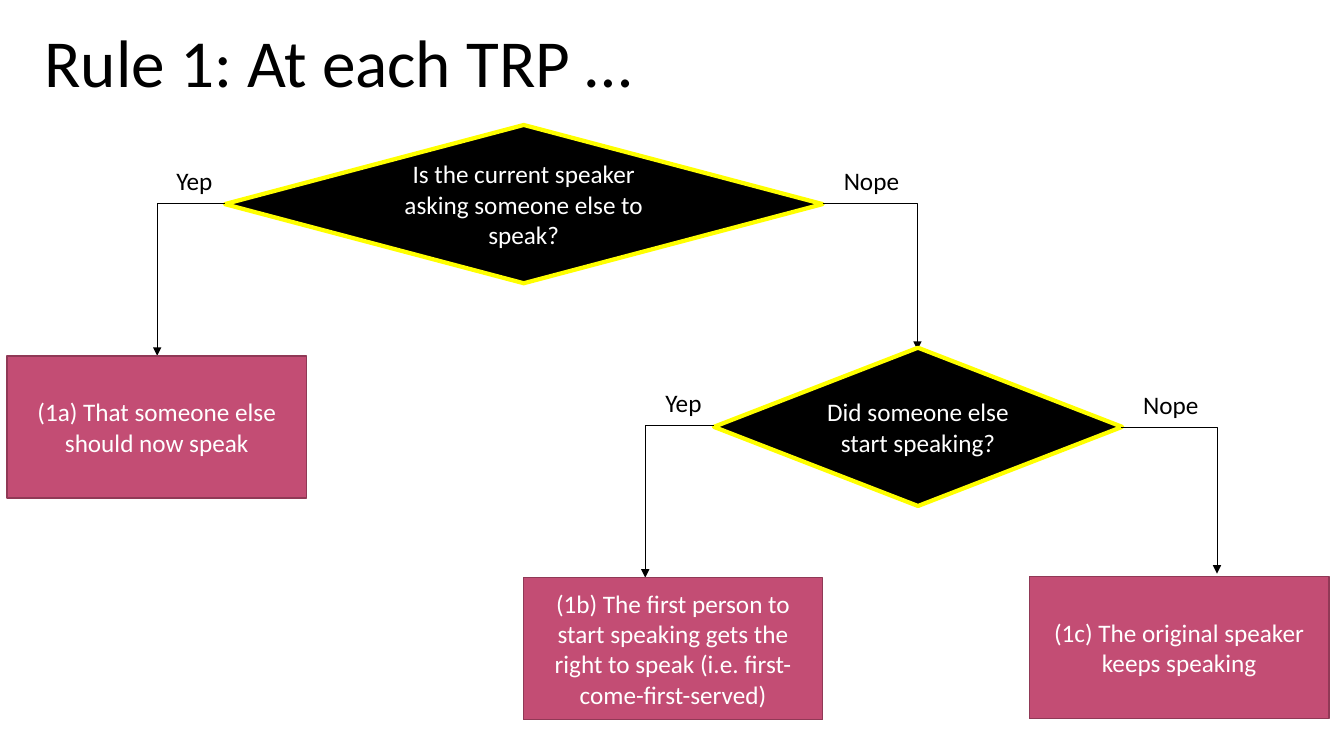
from lxml.etree import SubElement
from pptx import Presentation
from pptx.dml.color import RGBColor
from pptx.enum.shapes import MSO_CONNECTOR as Link, MSO_SHAPE as Shape
from pptx.enum.text import MSO_ANCHOR as Anchor, PP_ALIGN as Align
from pptx.oxml.ns import qn
from pptx.util import Inches, Pt

TITLE = "Rule 1: At each TRP …"
# text, (left, top, width, height)
CHOICES = [
    ("Is the current speaker asking someone else to speak?", (2.23, 1.24, 5.93, 1.57)),
    ("Did someone else start speaking?", (7.08, 3.45, 4.05, 1.57)),
]
# text, (left, top)
RESULTS = [
    ("(1a) That someone else should now speak", (0.07, 3.53)),
    ("(1b) The first person to start speaking gets the right to speak "
     "(i.e. first-come-first-served)", (5.19, 5.73)),
    ("(1c) The original speaker keeps speaking", (10.21, 5.72)),
]
# per choice: label, label place, arrow start, arrow end
BRANCHES = [
    [("Nope", (8.27, 1.59), (8.16, 2.02), (9.1, 3.47)),
     ("Yep", (1.65, 1.59), (2.23, 2.02), (1.56, 3.53))],
    [("Nope", (11.24, 3.81), (11.12, 4.24), (12.07, 5.69)),
     ("Yep", (6.5, 3.79), (7.08, 4.22), (6.4, 5.73))],
]
RESULT_SIZE = (2.97, 1.41)
LABEL_SIZE = (0.92, 0.4)
COLORS = {"ink": "000000", "paper": "FFFFFF", "edge": "FFFF00",
          "rose": "C34D74", "plum": "903956"}
FONT = "Calibri"


def color(name):
    return RGBColor.from_string(COLORS[name])


def write(shape, text, size, ink, align, anchor):
    frame = shape.text_frame
    frame.text = text
    frame.word_wrap = True
    frame.vertical_anchor = anchor
    para = frame.paragraphs[0]
    para.alignment = align
    font = para.runs[0].font
    font.name, font.size = FONT, Pt(size)
    font.color.rgb = color(ink)


def add_node(slide, kind, text, box, fill, line, width):
    node = slide.shapes.add_shape(kind, *map(Inches, box))
    node.shadow.inherit = False
    node.fill.solid()
    node.fill.fore_color.rgb = color(fill)
    node.line.color.rgb = color(line)
    node.line.width = Pt(width)
    write(node, text, 18, "paper", Align.CENTER, Anchor.MIDDLE)


def add_arrow(slide, start, end):
    """Go sideways from start, then down to end, with one bend."""
    arrow = slide.shapes.add_connector(Link.ELBOW, *map(Inches, start + end))
    arrow.line.color.rgb = color("ink")
    arrow.line.width = Pt(0.5)
    props = arrow._element.spPr
    props.find(qn("a:prstGeom")).set("prst", "bentConnector2")
    SubElement(props.find(qn("a:ln")), qn("a:tailEnd"), type="triangle")
    SubElement(props, qn("a:effectLst"))


def add_label(slide, text, place):
    label = slide.shapes.add_textbox(*map(Inches, place + LABEL_SIZE))
    write(label, text, 18, "ink", Align.LEFT, Anchor.TOP)


def main():
    deck = Presentation()
    deck.slide_width, deck.slide_height = Inches(13.33), Inches(7.5)
    slide = deck.slides.add_slide(deck.slide_layouts[5])

    title = slide.shapes.title
    title.left, title.top = Inches(0.34), Inches(0.15)
    title.width, title.height = Inches(10.17), Inches(0.91)
    write(title, TITLE, 48, "ink", Align.LEFT, Anchor.TOP)

    for (text, box), branches in zip(CHOICES, BRANCHES):
        add_node(slide, Shape.FLOWCHART_DECISION, text, box, "ink", "edge", 3)
        for label, place, start, end in branches:
            add_arrow(slide, start, end)
            add_label(slide, label, place)
    for text, place in RESULTS:
        add_node(slide, Shape.FLOWCHART_PROCESS, text, place + RESULT_SIZE,
                 "rose", "plum", 1)
    deck.save("out.pptx")


if __name__ == "__main__":
    main()
